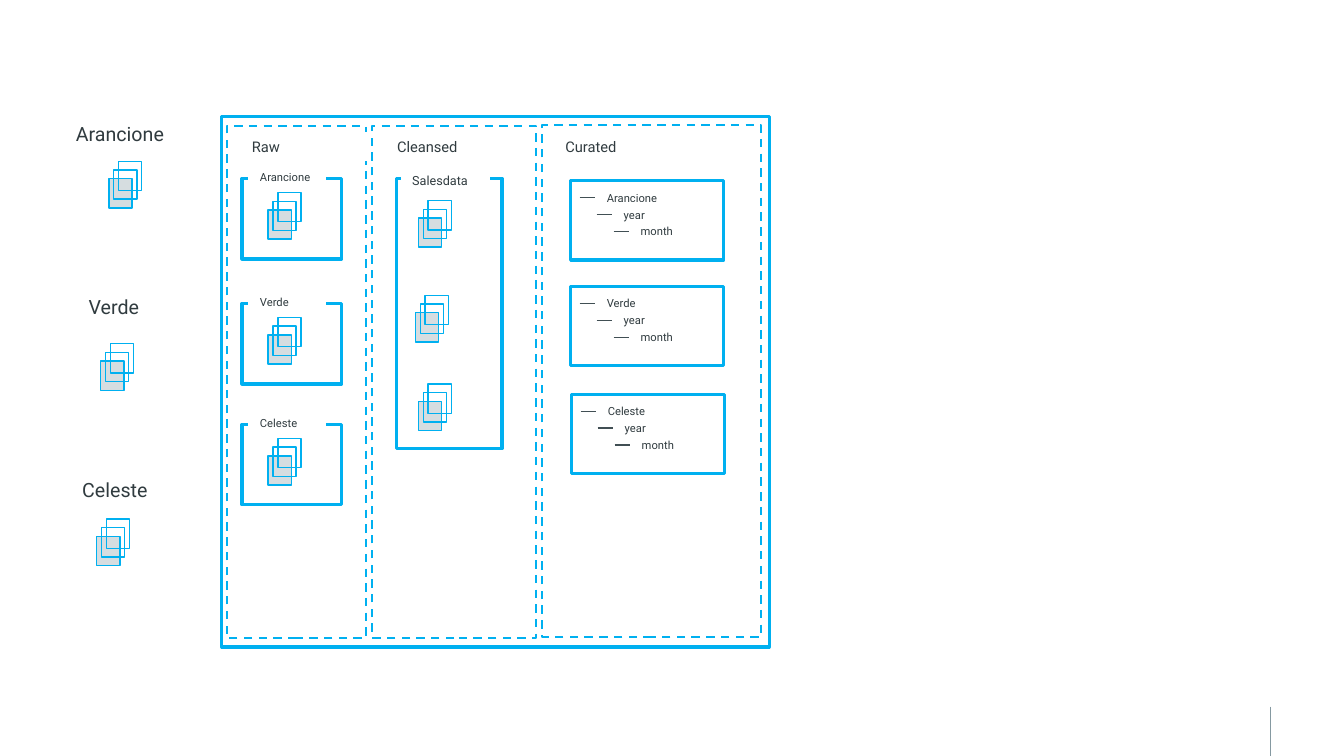
"""Build a slide of a data lake: three sources flowing through raw, cleansed and curated zones."""
from pptx import Presentation
from pptx.dml.color import RGBColor
from pptx.enum.dml import MSO_LINE
from pptx.enum.shapes import MSO_CONNECTOR, MSO_SHAPE
from pptx.enum.text import MSO_ANCHOR, PP_ALIGN
from pptx.oxml.ns import qn
from pptx.util import Inches, Pt
from lxml.etree import SubElement

COLORS = {"white": "FFFFFF", "border": "00B0F0", "sheet": "D6DDE0",
          "text": "303B3F", "branch": "414F54", "rule": "8599A1"}
FONT = "Roboto"
WIDTH, HEIGHT = 13.33, 7.5

SOURCES = [
    {"name": "Arancione", "label": (0.32, 1.17), "files": (1.08, 1.6)},
    {"name": "Verde", "label": (0.26, 2.88), "files": (1.0, 3.41)},
    {"name": "Celeste", "label": (0.27, 4.7), "files": (0.96, 5.15)},
]
LAKE = (2.2, 1.16, 5.43, 5.26)
ZONES = [
    {"name": "Raw", "area": (2.25, 1.25, 1.38, 5.08), "label_left": 2.4},
    {"name": "Cleansed", "area": (3.69, 1.25, 1.63, 5.08), "label_left": 3.84},
    {"name": "Curated", "area": (5.38, 1.24, 2.17, 5.08), "label_left": 5.51},
]
RAW_FOLDERS = [("Arancione", 1.77), ("Verde", 3.01), ("Celeste", 4.21)]
CLEANSED_FOLDER = ("Salesdata", (3.93, 1.77, 1.05, 2.68))
CLEANSED_FILES = [(4.15, 1.99), (4.12, 2.93), (4.15, 3.81)]
CURATED_TREES = [("Arancione", 5.66, 1.79), ("Verde", 5.66, 2.84), ("Celeste", 5.67, 3.91)]
PARTITIONS = ["year", "month"]

SHEET_WIDTH, SHEET_HEIGHT = 0.23, 0.29
SHEET_STEP_X, SHEET_STEP_Y = 0.048, 0.086
TREE_STEP = 0.168


def color(name):
    return RGBColor.from_string(COLORS[name])


def add_box(page, area, fill=None, line=None, weight=2.25, dashed=False):
    box = page.shapes.add_shape(MSO_SHAPE.RECTANGLE, *(Inches(length) for length in area))
    box.shadow.inherit = False
    if fill:
        box.fill.solid()
        box.fill.fore_color.rgb = color(fill)
    else:
        box.fill.background()
    if line:
        box.line.color.rgb = color(line)
        box.line.width = Pt(weight)
        if dashed:
            box.line.dash_style = MSO_LINE.DASH
    else:
        box.line.fill.background()
    return box


def add_label(page, text, area, size, line="white", align=PP_ALIGN.LEFT):
    box = add_box(page, area, "white", line)
    frame = box.text_frame
    frame.word_wrap = True
    frame.vertical_anchor = MSO_ANCHOR.MIDDLE
    para = frame.paragraphs[0]
    para.alignment = align
    span = para.add_run()
    span.text = text
    span.font.name = FONT
    span.font.size = Pt(size)
    span.font.color.rgb = color("text")


def add_line(page, start, end, line, weight):
    points = (Inches(length) for length in start + end)
    connector = page.shapes.add_connector(MSO_CONNECTOR.STRAIGHT, *points)
    connector.line.color.rgb = color(line)
    connector.line.width = Pt(weight)
    SubElement(connector._element.spPr, qn("a:effectLst"))


def add_files(page, left, top):
    for index in range(3):
        area = (left + index * SHEET_STEP_X, top + (2 - index) * SHEET_STEP_Y,
                SHEET_WIDTH, SHEET_HEIGHT)
        add_box(page, area, None if index else "sheet", "border", 1)


def add_tree(page, name, left, top):
    add_box(page, (left, top, 1.52, 0.79), "white", "border")
    for level, text in enumerate([name] + PARTITIONS):
        x = left + 0.09 + level * TREE_STEP
        y = top + 0.17 + level * TREE_STEP
        add_line(page, (x, y), (x + 0.5, y), "branch", 1)
        add_label(page, text, (x + 0.17, y - 0.11, 0.76, 0.22), 8)


def main():
    deck = Presentation()
    deck.slide_width, deck.slide_height = Inches(WIDTH), Inches(HEIGHT)
    page = deck.slides.add_slide(deck.slide_layouts[6])

    add_line(page, (12.6, 7.01), (12.6, HEIGHT), "rule", 0.5)
    for source in SOURCES:
        add_label(page, source["name"], source["label"] + (1.74, 0.32), 14, None, PP_ALIGN.CENTER)
        add_files(page, *source["files"])

    add_box(page, LAKE, line="border")
    for zone in ZONES:
        add_box(page, zone["area"], "white", "border", 1.5, dashed=True)
    for zone in ZONES:
        add_label(page, zone["name"], (zone["label_left"], 1.33, 1.25, 0.25), 10.5)

    for name, top in RAW_FOLDERS:
        add_box(page, (2.4, top, 0.99, 0.8), "white", "border")
        add_label(page, name, (2.48, top - 0.07, 0.74, 0.12), 8)
        add_files(page, 2.66, top + 0.14)

    name, area = CLEANSED_FOLDER
    add_box(page, area, "white", "border")
    add_label(page, name, (area[0] + 0.06, area[1] - 0.08, 0.86, 0.19), 9)
    for left, top in CLEANSED_FILES:
        add_files(page, left, top)

    for name, left, top in CURATED_TREES:
        add_tree(page, name, left, top)

    deck.save("out.pptx")


if __name__ == "__main__":
    main()
